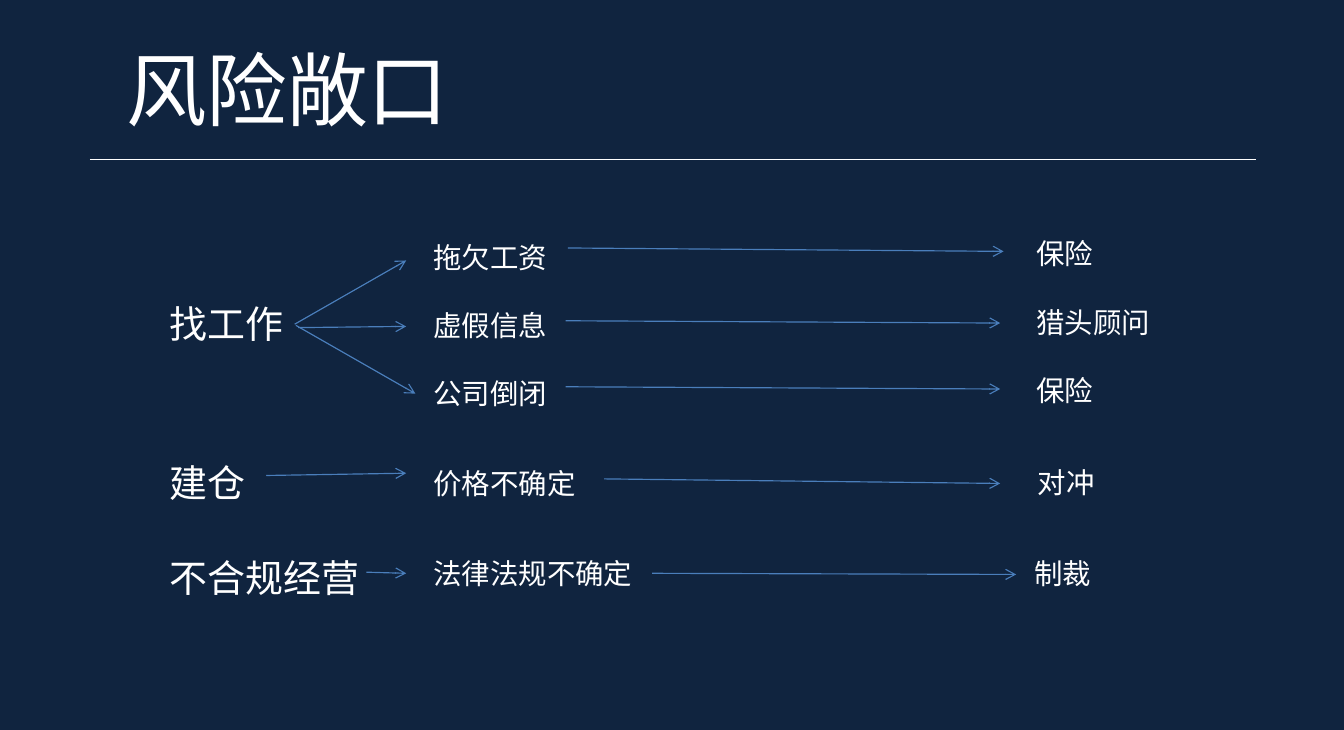
from dataclasses import dataclass

from pptx import Presentation
from pptx.dml.color import RGBColor
from pptx.enum.shapes import MSO_CONNECTOR
from pptx.enum.text import MSO_AUTO_SIZE, PP_ALIGN
from pptx.oxml.ns import qn
from pptx.slide import Slide
from pptx.util import Inches, Pt
from lxml.etree import SubElement

NAVY = RGBColor(0x10, 0x24, 0x3F)
WHITE = RGBColor(0xFF, 0xFF, 0xFF)
BLUE = RGBColor(0x4A, 0x7E, 0xBB)
FONT = "Noto Sans CJK SC"
CM = 1 / 2.54  # one centimetre in inches


@dataclass(frozen=True)
class Label:
    lines: tuple[str, ...]
    left: float
    top: float
    width: float
    height: float
    size: int
    space: float = 1.0
    align: PP_ALIGN = PP_ALIGN.LEFT
    wrap: bool = True


@dataclass(frozen=True)
class Line:
    x1: float
    y1: float
    x2: float
    y2: float
    color: RGBColor = BLUE
    arrow: bool = True


def cause(text: str, top: float) -> Label:
    return Label((text,), 1.39, top, 2.2, 0.5, 24, align=PP_ALIGN.JUSTIFY)


def detail(lines: tuple[str, ...], left: float, top: float) -> Label:
    height = 0.1 + 0.6 * len(lines)
    return Label(lines, left, top, 2.7, height, 18, space=2.0)


TITLE = Label(("风险敞口",), 1.01, 0.3, 3.03, 0.95, 51, wrap=False)
RULE = Line(0.79, 1.4, 11.04, 1.4, WHITE, arrow=False)

LABELS = [
    # Causes
    cause("找工作", 2.59),
    cause("建仓", 3.99),
    cause("不合规经营", 4.83),
    # Risks
    detail(("拖欠工资", "虚假信息", "公司倒闭"), 3.71, 1.76),
    detail(("价格不确定",), 3.71, 3.75),
    detail(("法律法规不确定",), 3.71, 4.54),
    # Remedies
    detail(("保险", "猎头顾问", "保险"), 9.01, 1.73),
    detail(("对冲",), 9.02, 3.74),
    detail(("制裁",), 8.99, 4.54),
]

ARROWS = [
    # Cause to risk
    Line(2.59, 2.85, 3.57, 2.29),
    Line(2.6, 2.86, 3.65, 3.46),
    Line(2.62, 2.88, 3.57, 2.87),
    Line(2.34, 4.18, 3.57, 4.16),
    Line(3.22, 5.03, 3.57, 5.04),
    # Risk to remedy
    Line(4.99, 2.18, 8.82, 2.21),
    Line(4.97, 2.82, 8.79, 2.84),
    Line(4.97, 3.4, 8.79, 3.42),
    Line(5.31, 4.21, 8.79, 4.25),
    Line(5.73, 5.04, 8.93, 5.05),
]


def add_label(slide: Slide, label: Label) -> None:
    box = slide.shapes.add_textbox(Inches(label.left), Inches(label.top),
                                   Inches(label.width), Inches(label.height))
    frame = box.text_frame
    frame.word_wrap = label.wrap
    frame.auto_size = MSO_AUTO_SIZE.SHAPE_TO_FIT_TEXT
    frame.text = "\n".join(label.lines)
    for para in frame.paragraphs:
        para.alignment = label.align
        para.line_spacing = label.space
        font = para.font
        font.size = Pt(label.size)
        font.color.rgb = WHITE
        font.name = FONT
        # Chinese text takes the East Asian typeface
        props = para._p.pPr.find(qn("a:defRPr"))
        SubElement(props, qn("a:ea"), typeface=FONT)


def add_line(slide: Slide, line: Line) -> None:
    link = slide.shapes.add_connector(
        MSO_CONNECTOR.STRAIGHT, Inches(line.x1), Inches(line.y1),
        Inches(line.x2), Inches(line.y2))
    link.line.color.rgb = line.color
    link.line.width = Pt(0.75)
    props = link._element.spPr
    if line.arrow:
        SubElement(props.find(qn("a:ln")), qn("a:tailEnd"), type="arrow")
    SubElement(props, qn("a:effectLst"))


def main() -> None:
    deck = Presentation()
    deck.slide_width = Inches(30 * CM)
    deck.slide_height = Inches(16.3 * CM)
    slide = deck.slides.add_slide(deck.slide_layouts[6])
    fill = slide.background.fill
    fill.solid()
    fill.fore_color.rgb = NAVY

    # Heading
    add_label(slide, TITLE)
    add_line(slide, RULE)

    # Risk map
    for label in LABELS:
        add_label(slide, label)
    for arrow in ARROWS:
        add_line(slide, arrow)

    deck.save("out.pptx")


if __name__ == "__main__":
    main()
